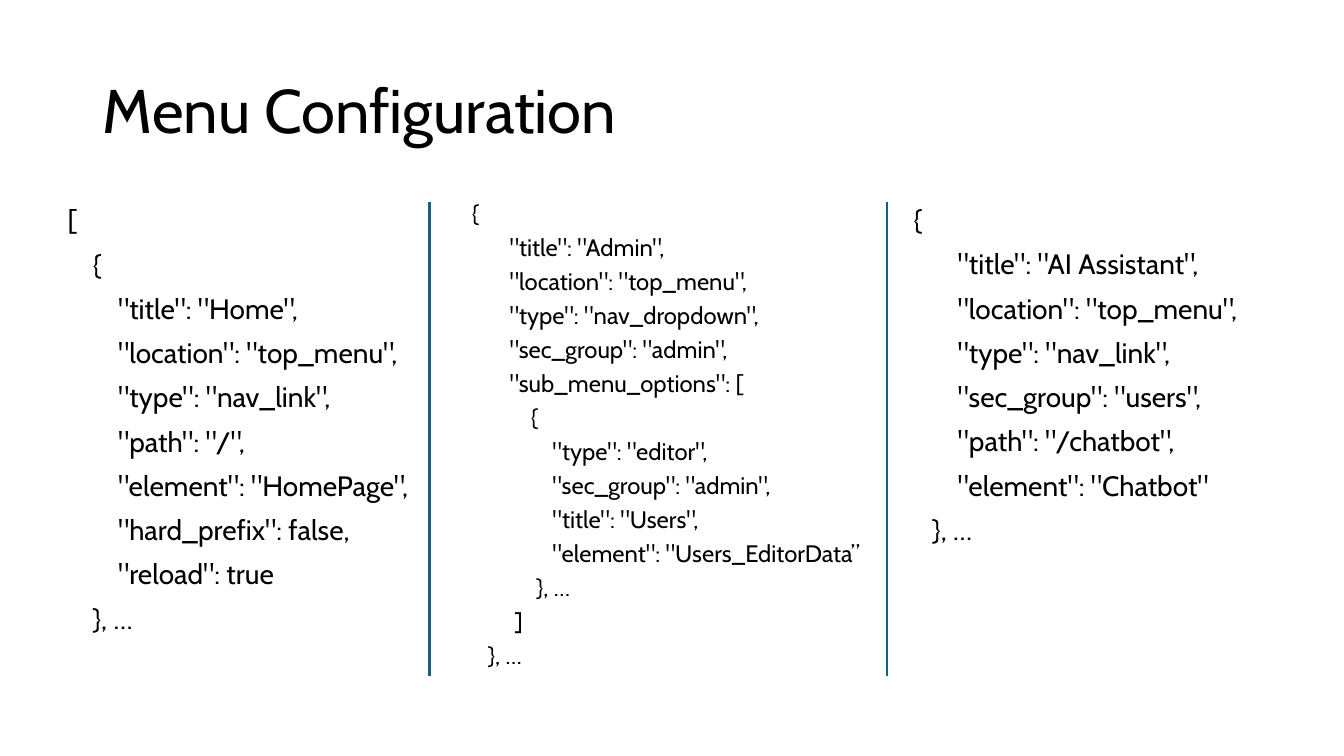
"""Build the Menu Configuration slide: three code columns split by rules."""
from dataclasses import dataclass

from lxml import etree
from pptx import Presentation
from pptx import util as u
from pptx.dml.color import RGBColor
from pptx.enum import shapes, text
from pptx.oxml import ns


@dataclass(frozen=True)
class Theme:
    """Hold the colours, typeface and type sizes."""
    ink: RGBColor = RGBColor.from_string("000000")
    rule: RGBColor = RGBColor.from_string("156082")
    face: str = "Cabin"
    title: int = 44
    code: int = 20
    dense: int = 17


@dataclass(frozen=True)
class Column:
    """Describe one block of code and its setting."""
    left: float
    width: float
    size: int
    leading: float
    code: str


THEME = Theme()
TOP, HEIGHT = 2, 4.76
RULE_BOTTOM = 6.71
RULES = (4.26, 8.8)
GAP = 10

HOME = '''[
    {
        "title": "Home",
        "location": "top_menu",
        "type": "nav_link",
        "path": "/",
        "element": "HomePage",
        "hard_prefix": false,
        "reload": true
    }, …'''

ADMIN = ''' {
        "title": "Admin",
        "location": "top_menu",
        "type": "nav_dropdown",
        "sec_group": "admin",
        "sub_menu_options": [
            {
                "type": "editor",
                "sec_group": "admin",
                "title": "Users",
                "element": "Users_EditorData”
             }, …
         ]
    }, …'''

ASSISTANT = ''' {
        "title": "AI Assistant",
        "location": "top_menu",
        "type": "nav_link",
        "sec_group": "users",
        "path": "/chatbot",
        "element": "Chatbot"
    }, …'''

COLUMNS = (
    Column(0.57, 3.61, THEME.code, 0.9, HOME),
    Column(4.53, 4.14, THEME.dense, 0.7, ADMIN),
    Column(8.9, 3.61, THEME.code, 0.9, ASSISTANT),
)


def apply(target, values: dict) -> None:
    """Set each named attribute on the target."""
    for name, value in values.items():
        setattr(target, name, value)


def place(box, left: float, top: float, width: float, height: float) -> None:
    """Move and size a box given in inches."""
    apply(box, {"left": u.Inches(left), "top": u.Inches(top),
                "width": u.Inches(width), "height": u.Inches(height)})


def write(box, content: str, size: int, leading: float, anchor) -> None:
    """Fill a box with one plain paragraph per line."""
    frame = box.text_frame
    apply(frame, {"word_wrap": True, "auto_size": text.MSO_AUTO_SIZE.NONE,
                  "vertical_anchor": anchor})
    for index, line in enumerate(content.splitlines()):
        para = frame.add_paragraph() if index else frame.paragraphs[0]
        properties = para._p.get_or_add_pPr()
        apply_indent = {"marL": "0", "indent": "0"}
        properties.attrib.update(apply_indent)
        etree.SubElement(properties, ns.qn("a:buNone"))
        apply(para, {"alignment": text.PP_ALIGN.LEFT, "line_spacing": leading,
                     "space_before": u.Pt(GAP if index else 0)})
        span = para.add_run()
        span.text = line
        apply(span.font, {"name": THEME.face, "size": u.Pt(size)})
        span.font.color.rgb = THEME.ink


def draw_rule(page, left: float) -> None:
    """Draw a vertical line between columns."""
    rule = page.shapes.add_connector(
        shapes.MSO_CONNECTOR.STRAIGHT, u.Inches(left), u.Inches(TOP),
        u.Inches(left), u.Inches(RULE_BOTTOM))
    rule.line.color.rgb = THEME.rule
    rule.line.width = u.Pt(1.5)
    etree.SubElement(rule._element.spPr, ns.qn("a:effectLst"))


def main() -> None:
    """Build and save the deck."""
    deck = Presentation()
    apply(deck, {"slide_width": u.Inches(13.33), "slide_height": u.Inches(7.5)})
    page = deck.slides.add_slide(deck.slide_layouts[1])

    title, body = page.placeholders
    place(title, 0.92, 0.4, 11.5, 1.45)
    write(title, "Menu Configuration", THEME.title, 0.9, text.MSO_ANCHOR.MIDDLE)

    for index, column in enumerate(COLUMNS):
        box = page.shapes.add_textbox(0, 0, 0, 0) if index else body
        place(box, column.left, TOP, column.width, HEIGHT)
        write(box, column.code, column.size, column.leading, text.MSO_ANCHOR.TOP)

    for left in RULES:
        draw_rule(page, left)
    deck.save("out.pptx")


if __name__ == "__main__":
    main()
